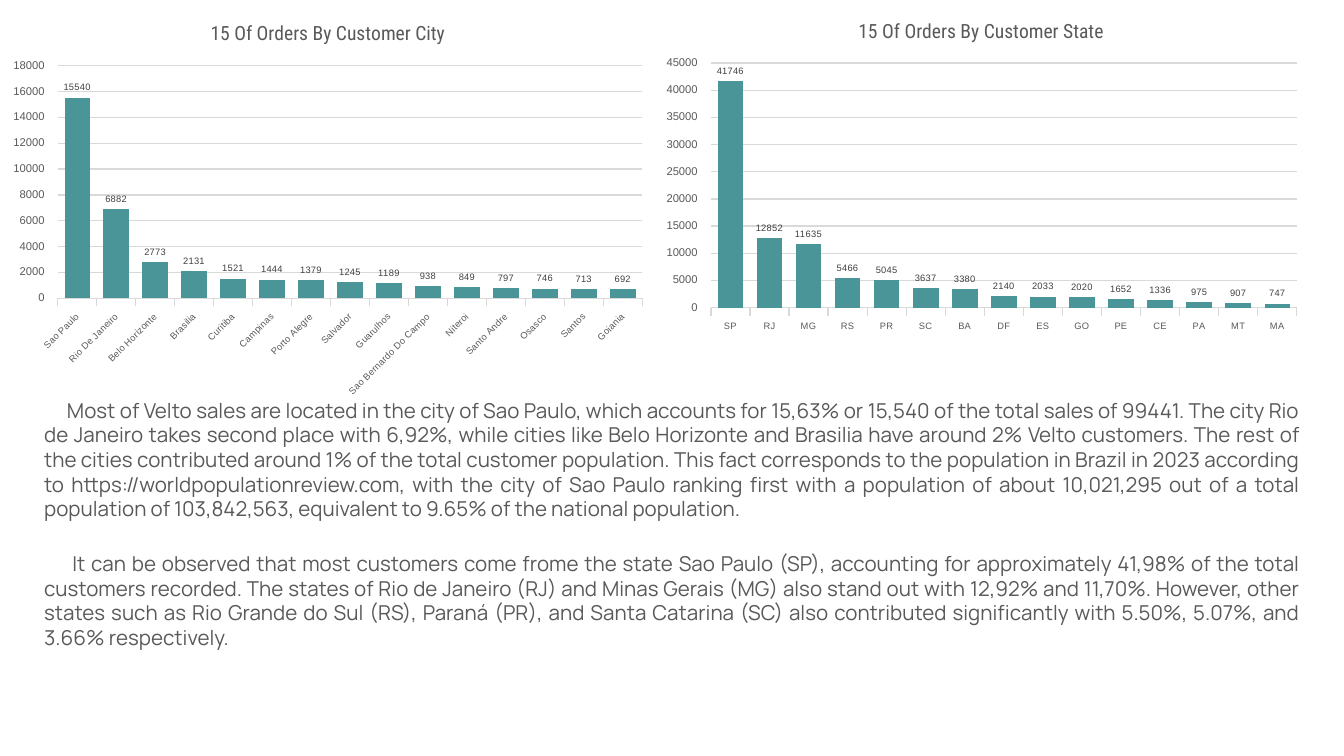
"""Build a slide with two order charts and their commentary."""
from pptx import Presentation
from pptx import util as u
from pptx.chart.data import CategoryChartData
from pptx.dml.color import RGBColor
from pptx.enum import chart as charts, text
from pptx.oxml import parse_xml
from pptx.oxml.ns import nsdecls, qn

COLORS = {"bar": "4A9598", "body": "595959", "label": "404040", "grid": "D9D9D9"}
CHART_WIDTH = 4.87

CHARTS = [
    {
        "title": "15 Of Orders By Customer City",
        "orders": [
            ("Sao Paulo", 15540), ("Rio De Janeiro", 6882), ("Belo Horizonte", 2773),
            ("Brasilia", 2131), ("Curitiba", 1521), ("Campinas", 1444),
            ("Porto Alegre", 1379), ("Salvador", 1245), ("Guarulhos", 1189),
            ("Sao Bernardo Do Campo", 938), ("Niteroi", 849), ("Santo Andre", 797),
            ("Osasco", 746), ("Santos", 713), ("Goiania", 692),
        ],
        "height": 3.01, "maximum": 18000, "step": 2000, "rotation": -45,
        "title_at": (1.54, 0.12), "plot": (0.43, 0.49, 4.35, 1.73),
    },
    {
        "title": "15 Of Orders By Customer State",
        "orders": [
            ("SP", 41746), ("RJ", 12852), ("MG", 11635), ("RS", 5466), ("PR", 5045),
            ("SC", 3637), ("BA", 3380), ("DF", 2140), ("ES", 2033), ("GO", 2020),
            ("PE", 1652), ("CE", 1336), ("PA", 975), ("MT", 907), ("MA", 747),
        ],
        "height": 2.51, "maximum": 45000, "step": 5000, "rotation": 0,
        "title_at": (1.49, 0.11), "plot": (0.42, 0.47, 4.36, 1.82),
    },
]

PARAGRAPHS = [
    (2.91, 1.03, 0.17,
     "Most of Velto sales are located in the city of Sao Paulo, which accounts for 15,63% "
     "or 15,540 of the total sales of 99441. The city Rio de Janeiro takes second place "
     "with 6,92%, while cities like Belo Horizonte and Brasilia have around 2% Velto "
     "customers. The rest of the cities contributed around 1% of the total customer "
     "population. This fact corresponds to the population in Brazil in 2023 according to "
     "https://worldpopulationreview.com, with the city of Sao Paulo ranking first with a "
     "population of about 10,021,295 out of a total population of 103,842,563, equivalent "
     "to 9.65% of the national population."),
    (4.05, 0.84, 0.21,
     "It can be observed that most customers come frome the state Sao Paulo (SP), "
     "accounting for approximately 41,98% of the total customers recorded. The states of "
     "Rio de Janeiro (RJ) and Minas Gerais (MG) also stand out with 12,92% and 11,70%. "
     "However, other states such as Rio Grande do Sul (RS), Paraná (PR), and Santa "
     "Catarina (SC) also contributed significantly with 5.50%, 5.07%, and 3.66% "
     "respectively."),
]


def color(name):
    return RGBColor.from_string(COLORS[name])


def style(font, size, name="Arial", shade="body"):
    font.size, font.name, font.bold = u.Pt(size), name, False
    font.color.rgb = color(shade)


def place(parent, index, box, height, inner=False):
    for layout in parent.findall(qn("c:layout")):
        parent.remove(layout)
    target = '<c:layoutTarget val="inner"/>' if inner else ""
    modes = '<c:xMode val="edge"/><c:yMode val="edge"/>'
    extents = (CHART_WIDTH, height, CHART_WIDTH, height)
    sizes = "".join(f'<c:{tag} val="{length / extent:.4f}"/>'
                    for tag, length, extent in zip("xywh", box, extents))
    parent.insert(index, parse_xml(
        f'<c:layout {nsdecls("c")}><c:manualLayout>{target}{modes}{sizes}'
        "</c:manualLayout></c:layout>"))


def add_order_chart(slide, left, content):
    data = CategoryChartData()
    data.categories = [name for name, _ in content["orders"]]
    data.add_series("Series 1", [count for _, count in content["orders"]])
    height = content["height"]
    chart = slide.shapes.add_chart(
        charts.XL_CHART_TYPE.COLUMN_CLUSTERED, u.Inches(left), 0,
        u.Inches(CHART_WIDTH), u.Inches(height), data).chart
    chart.has_legend = False
    style(chart.font, 10)

    chart.has_title = True
    title = chart.chart_title
    title.text_frame.text = content["title"]
    style(title.text_frame.paragraphs[0].runs[0].font, 10.5, "Roboto Condensed")
    title.include_in_layout = False
    place(title._element, 1, content["title_at"], height)
    place(chart._chartSpace.chart.plotArea, 0, content["plot"], height, inner=True)

    plot = chart.plots[0]
    plot.gap_width, plot.overlap, plot.vary_by_categories = 53, -27, False
    fill = plot.series[0].format.fill
    fill.solid()
    fill.fore_color.rgb = color("bar")
    plot.has_data_labels = True
    labels = plot.data_labels
    labels.show_value = True
    labels.position = charts.XL_LABEL_POSITION.OUTSIDE_END
    style(labels.font, 5, shade="label")

    categories, values = chart.category_axis, chart.value_axis
    style(categories.tick_labels.font, 5)
    style(values.tick_labels.font, 6)
    body = categories._element.find(qn("c:txPr")).find(qn("a:bodyPr"))
    body.set("rot", str(content["rotation"] * 60000))
    values.minimum_scale, values.maximum_scale = 0, content["maximum"]
    values.major_unit = content["step"]
    values.has_major_gridlines = True
    values.format.line.fill.background()
    for line in (categories.format.line, values.major_gridlines.format.line):
        line.color.rgb = color("grid")
        line.width = u.Pt(0.75)


def add_commentary(slide, top, height, indent, wording):
    shape = slide.shapes.add_textbox(
        u.Inches(0.23), u.Inches(top), u.Inches(9.55), u.Inches(height))
    frame = shape.text_frame
    frame.word_wrap = True
    frame.auto_size = text.MSO_AUTO_SIZE.SHAPE_TO_FIT_TEXT
    frame.text = wording
    paragraph = frame.paragraphs[0]
    paragraph.alignment = text.PP_ALIGN.JUSTIFY
    paragraph._p.get_or_add_pPr().set("indent", str(u.Inches(indent)))
    style(paragraph.runs[0].font, 11, "Manrope")


def main():
    presentation = Presentation()
    presentation.slide_width = u.Inches(10)
    presentation.slide_height = presentation.slide_width * 9 // 16
    slide = presentation.slides.add_slide(presentation.slide_layouts[6])
    for column, content in enumerate(CHARTS):
        add_order_chart(slide, column * CHART_WIDTH, content)
    for commentary in PARAGRAPHS:
        add_commentary(slide, *commentary)
    presentation.save("out.pptx")


if __name__ == "__main__":
    main()
